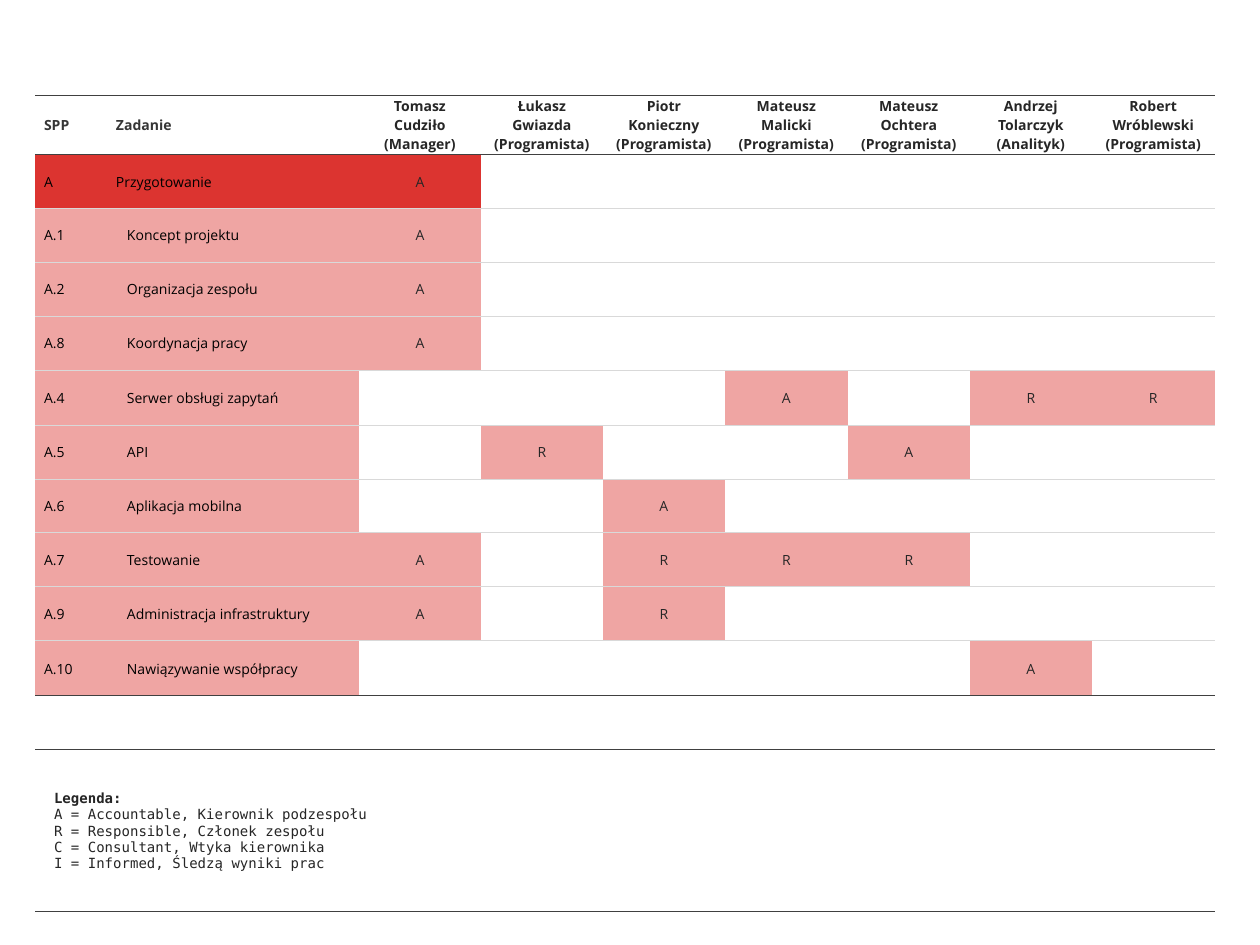
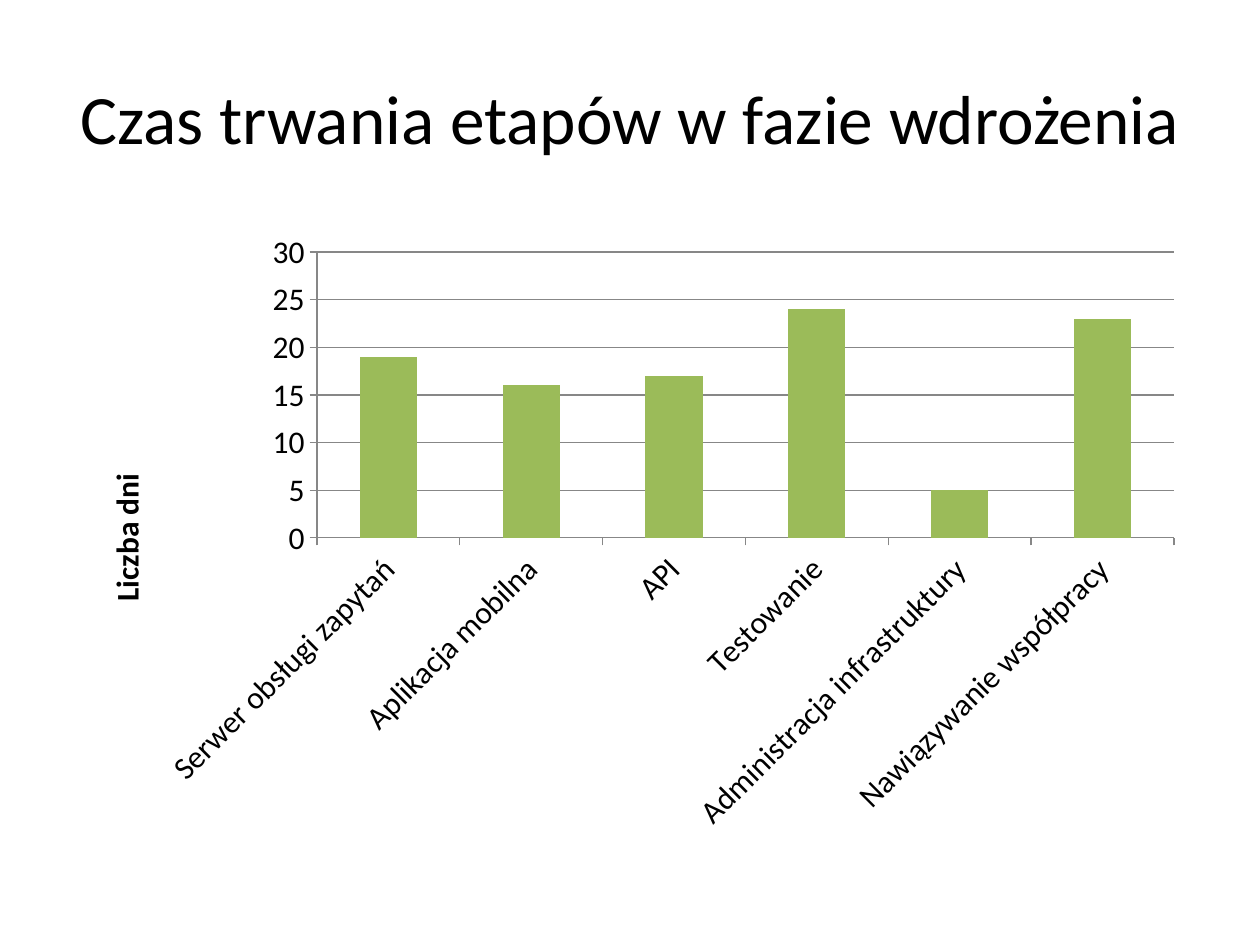
"""Builds a duty matrix slide and a stage length chart slide."""
from itertools import pairwise

from lxml import etree
from pptx import Presentation, util as u
from pptx.chart.data import CategoryChartData
from pptx.dml.color import RGBColor
from pptx.enum import chart as ch, text
from pptx.oxml.ns import qn

PX = u.Inches(1) // 126

BLACK = RGBColor(0x00, 0x00, 0x00)
INK = RGBColor(0x26, 0x26, 0x26)
HEAD = RGBColor(0x36, 0x36, 0x36)
RULE = RGBColor(0x40, 0x40, 0x40)
PALE = RGBColor(0xD9, 0xD9, 0xD9)
RED = RGBColor(0xDC, 0x34, 0x30)
PINK = RGBColor(0xEF, 0xA5, 0xA3)
GREEN = RGBColor(0x9B, 0xBB, 0x59)
GRAY = RGBColor(0x87, 0x87, 0x87)

SANS, MONO, BODY = "Open Sans", "DejaVu Sans Mono", "Calibri"
LEFT, MID = text.PP_ALIGN.LEFT, text.PP_ALIGN.CENTER

TEAM = [
    ("Tomasz", "Cudziło", "(Manager)"),
    ("Łukasz", "Gwiazda", "(Programista)"),
    ("Piotr", "Konieczny", "(Programista)"),
    ("Mateusz", "Malicki", "(Programista)"),
    ("Mateusz", "Ochtera", "(Programista)"),
    ("Andrzej", "Tolarczyk", "(Analityk)"),
    ("Robert", "Wróblewski", "(Programista)"),
]
# One mark for each person of the team; a dot means no duty.
TASKS = [
    ("A", "Przygotowanie", "A......"),
    ("A.1", "Koncept projektu", "A......"),
    ("A.2", "Organizacja zespołu", "A......"),
    ("A.8", "Koordynacja pracy", "A......"),
    ("A.4", "Serwer obsługi zapytań", "...A.RR"),
    ("A.5", "API", ".R..A.."),
    ("A.6", "Aplikacja mobilna", "..A...."),
    ("A.7", "Testowanie", "A.RRR.."),
    ("A.9", "Administracja infrastruktury", "A.R...."),
    ("A.10", "Nawiązywanie współpracy", ".....A."),
]
KEYS = [
    "Legenda:",
    "A = Accountable, Kierownik podzespołu",
    "R = Responsible, Członek zespołu",
    "C = Consultant, Wtyka kierownika",
    "I = Informed, Śledzą wyniki prac",
]
STAGES = {
    "Serwer obsługi zapytań": 19,
    "Aplikacja mobilna": 16,
    "API": 17,
    "Testowanie": 24,
    "Administracja infrastruktury": 5,
    "Nawiązywanie współpracy": 23,
}


def style(font, name, size, color, bold=False):
    """Set the face, size, colour and weight of a font."""
    font.name, font.size, font.bold = name, u.Pt(size), bold
    font.color.rgb = color


def write(frame, lines, name, size, color, bold=False, align=LEFT):
    """Write each line as a paragraph of one run."""
    for i, line in enumerate(lines):
        para = frame.add_paragraph() if i else frame.paragraphs[0]
        para.alignment = align
        run = para.add_run()
        run.text = line
        style(run.font, name, size, color, bold)


def edge(cell, top, low):
    """Rule a cell above and below, with no rules at its sides."""
    props = cell._tc.get_or_add_tcPr()
    sides = {"a:lnL": None, "a:lnR": None, "a:lnT": top, "a:lnB": low}
    for i, (tag, color) in enumerate(sides.items()):
        line = etree.Element(qn(tag), w=str(u.Pt(0.5)))
        if color is None:
            etree.SubElement(line, qn("a:noFill"))
        else:
            fill = etree.SubElement(line, qn("a:solidFill"))
            etree.SubElement(fill, qn("a:srgbClr"), val=str(color))
        props.insert(i, line)


def put(cell, lines, color, pad=1, fill=None, bold=False, align=LEFT):
    """Fill a table cell and write its lines."""
    cell.margin_left = pad * PX
    if fill is not None:
        cell.fill.solid()
        cell.fill.fore_color.rgb = fill
    write(cell.text_frame, lines, SANS, 8, color, bold, align)


def matrix(slide, x, y, wide):
    """Place the duty matrix with its legend at the foot."""
    rest = wide - 324
    cols = [0, 80] + [324 + i * rest // len(TEAM) for i in range(len(TEAM) + 1)]
    last = len(TASKS)
    rows = [0] + [59 + i * 542 // 10 for i in range(last + 2)]
    rows.append(rows[-1] + 162)
    grid = slide.shapes.add_table(
        len(rows) - 1, len(cols) - 1, x * PX, y * PX, wide * PX, rows[-1] * PX
    ).table
    grid.first_row = grid.horz_banding = False
    for col, (a, b) in zip(grid.columns, pairwise(cols)):
        col.width = (b - a) * PX
    for row, (a, b) in zip(grid.rows, pairwise(rows)):
        row.height = (b - a) * PX

    for r, row in enumerate(grid.rows):
        for cell in row.cells:
            cell.fill.background()
            cell.vertical_anchor = text.MSO_ANCHOR.MIDDLE
            cell.margin_left = cell.margin_right = cell.margin_top = PX
            cell.margin_bottom = 0
            edge(cell, PALE if 1 < r <= last else RULE,
                 PALE if 0 < r < last else RULE)

    put(grid.cell(0, 0), ["SPP"], HEAD, 9, bold=True)
    put(grid.cell(0, 1), ["Zadanie"], HEAD, bold=True)
    for c, lines in enumerate(TEAM, 2):
        put(grid.cell(0, c), lines, INK, bold=True, align=MID)
    for r, (code, task, marks) in enumerate(TASKS, 1):
        fill, pad = (RED, 1) if r == 1 else (PINK, 12)
        put(grid.cell(r, 0), [code], BLACK, 9, fill)
        put(grid.cell(r, 1), [task], BLACK, pad, fill)
        for c, mark in enumerate(marks, 2):
            if mark != ".":
                put(grid.cell(r, c), [mark], INK, fill=fill, align=MID)

    foot = grid.cell(last + 2, 0)
    foot.merge(grid.cell(last + 2, len(cols) - 2))
    foot.margin_left = 19 * PX
    legend(foot.text_frame)


def legend(frame):
    """Write the legend as one paragraph with line breaks."""
    para = frame.paragraphs[0]
    for i, line in enumerate(KEYS):
        if i:
            para.add_line_break()
        run = para.add_run()
        run.text = line
        style(run.font, MONO, 8, INK, bold=i == 0)
    for gap in para._p.findall(qn("a:br")):
        etree.SubElement(gap, qn("a:rPr"), sz="800")


def title(slide, x, y, wide, high, line):
    """Place the slide title, centred in its box."""
    box = slide.shapes.add_textbox(x * PX, y * PX, wide * PX, high * PX)
    frame = box.text_frame
    frame.word_wrap = True
    frame.vertical_anchor = text.MSO_ANCHOR.MIDDLE
    write(frame, [line], BODY, 39.6, BLACK, align=MID)


def locate(node, index, **vals):
    """Give a chart part a fixed place, in shares of the chart."""
    for old in node.findall(qn("c:layout")):
        node.remove(old)
    lay = etree.Element(qn("c:layout"))
    man = etree.SubElement(lay, qn("c:manualLayout"))
    if "w" in vals:
        etree.SubElement(man, qn("c:layoutTarget"), val="inner")
    for key in "xy":
        etree.SubElement(man, qn(f"c:{key}Mode"), val="edge")
    for key, val in vals.items():
        etree.SubElement(man, qn(f"c:{key}"), val=f"{val:.4f}")
    node.insert(index, lay)


def columns(slide, x, y, wide, high):
    """Place the column chart of days for each stage."""
    data = CategoryChartData()
    data.categories = list(STAGES)
    data.add_series("Series 1", list(STAGES.values()))
    plot = slide.shapes.add_chart(
        ch.XL_CHART_TYPE.COLUMN_CLUSTERED,
        x * PX, y * PX, wide * PX, high * PX, data,
    ).chart
    plot.has_legend = plot.has_title = False
    style(plot.font, BODY, 18, BLACK)

    bars = plot.plots[0]
    bars.gap_width = 150
    bars.vary_by_categories = False
    fill = bars.series[0].format.fill
    fill.solid()
    fill.fore_color.rgb = GREEN

    cats, days = plot.category_axis, plot.value_axis
    days.minimum_scale, days.maximum_scale, days.major_unit = 0, 30, 5
    days.has_major_gridlines = True
    for axis in (cats, days):
        axis.major_tick_mark = ch.XL_TICK_MARK.OUTSIDE
    for part in (cats, days, days.major_gridlines):
        part.format.line.color.rgb = GRAY
        part.format.line.width = u.Pt(0.75)
    style(cats.tick_labels.font, BODY, 18, BLACK)
    turn = cats._element.find(qn("c:txPr")).find(qn("a:bodyPr"))
    turn.set("rot", "-2700000")

    name = days.axis_title
    write(name.text_frame, ["Liczba dni"], BODY, 18, BLACK, bold=True)
    turn = name.text_frame._txBody.find(qn("a:bodyPr"))
    turn.set("rot", "-5400000")
    turn.set("vert", "horz")
    locate(name._element, 1, x=36 / wide, y=248 / high)
    area = plot._chartSpace.find(qn("c:chart")).find(qn("c:plotArea"))
    locate(area, 0, x=254 / wide, y=32 / high, w=857 / wide, h=286 / high)


def main():
    """Build both slides and save them."""
    deck = Presentation()
    deck.slide_width, deck.slide_height = 1260 * PX, 945 * PX
    blank = deck.slide_layouts[6]
    matrix(deck.slides.add_slide(blank), 35, 95, 1180)
    slide = deck.slides.add_slide(blank)
    title(slide, 63, 38, 1134, 157, "Czas trwania etapów w fazie wdrożenia")
    columns(slide, 63, 220, 1134, 624)
    deck.save("out.pptx")


main()
